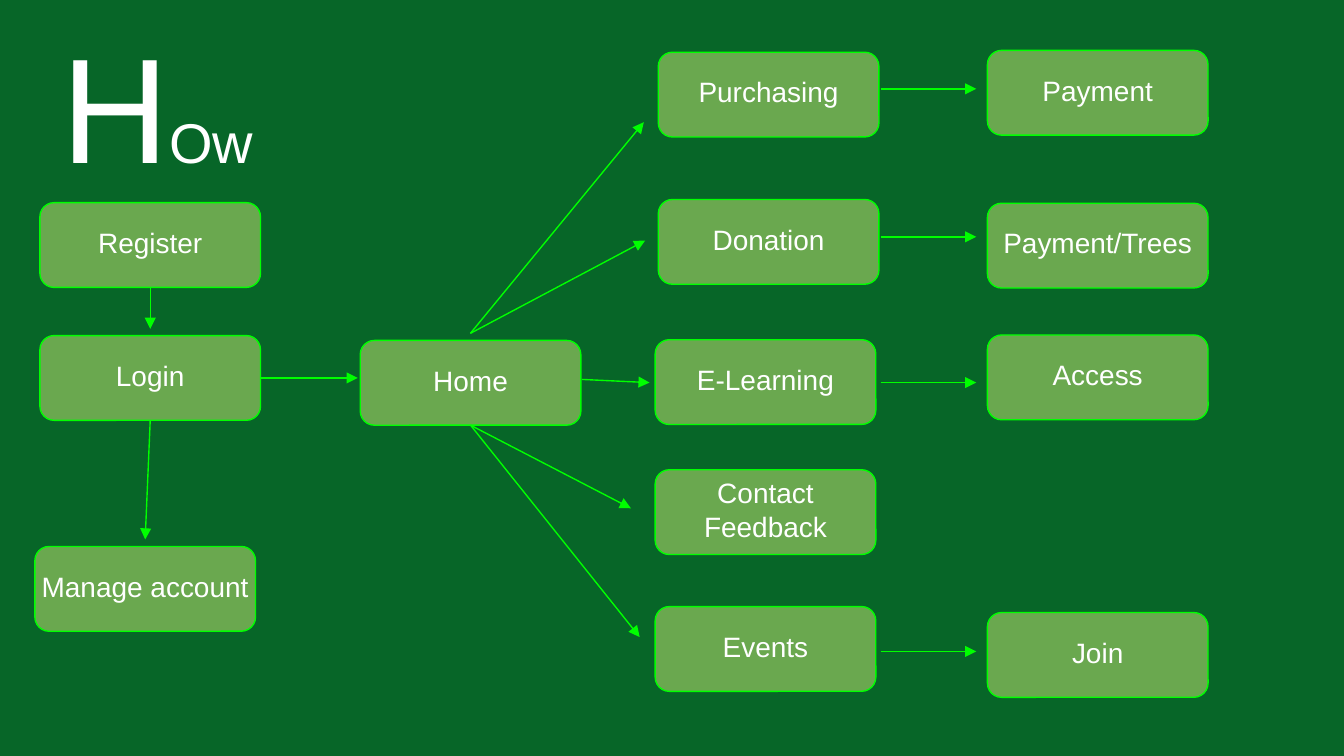
from lxml import etree
from pptx import Presentation
from pptx.dml.color import RGBColor
from pptx.enum.shapes import MSO_CONNECTOR, MSO_SHAPE
from pptx.enum.text import MSO_ANCHOR, PP_ALIGN
from pptx.oxml.ns import qn
from pptx.util import Pt

ROUNDED = MSO_SHAPE.ROUNDED_RECTANGLE
STRAIGHT = MSO_CONNECTOR.STRAIGHT
CENTER = PP_ALIGN.CENTER
TOP, MIDDLE = MSO_ANCHOR.TOP, MSO_ANCHOR.MIDDLE
BOTTOM_SIDE, RIGHT_SIDE = 2, 3

# Content: title runs with sizes, steps with left and top, arrows
TITLE = [("H", 80), ("Ow", 30)]
STEP_WIDTH, STEP_HEIGHT = 118.2, 45.4
STEPS = {
    "Register": (21.4, 108.6),
    "Login": (21.4, 179.8),
    "Manage account": (18.7, 292.8),
    "Home": (193, 182.4),
    "Purchasing": (352.7, 28),
    "Donation": (352.7, 106.9),
    "E-Learning": (351, 182),
    "Contact\nFeedback": (351, 251.7),
    "Events": (351, 325),
    "Payment": (529, 27),
    "Payment/Trees": (529, 108.9),
    "Access": (529, 179.5),
    "Join": (529, 328.2),
}
# Arrows that leave the middle of a step's side: step, side, end point
JOINED_ARROWS = [
    ("Register", BOTTOM_SIDE, (80.5, 176.2)),
    ("Login", BOTTOM_SIDE, (77.8, 289)),
    ("Login", RIGHT_SIDE, (191.7, 202.5)),
    ("Home", BOTTOM_SIDE, (338, 272.3)),
    ("Home", BOTTOM_SIDE, (342.7, 341.3)),
]
# Arrows that stand clear of the steps: start point, end point
HOME_TOP = (252, 178.6)
FREE_ARROWS = [
    (HOME_TOP, (344.9, 65.5)),
    (HOME_TOP, (345.6, 128.9)),
    ((311.8, 203.3), (348, 205)),
]
# Level arrows from the third column to the fourth
FREE_ARROWS += [((471.8, y), (523, y)) for y in (47.6, 126.9, 205, 349)]


def color(value):
    return RGBColor.from_string(value)


def style_font(font, size):
    font.name = "Arial"
    font.size = Pt(size)
    font.color.rgb = color("FFFFFF")


def set_frame(frame, anchor, top, bottom):
    frame.word_wrap = False
    frame.vertical_anchor = anchor
    frame.margin_left = frame.margin_right = 0
    frame.margin_top, frame.margin_bottom = Pt(top), Pt(bottom)


def add_step(slide, label, left, top):
    step = slide.shapes.add_shape(
        ROUNDED, Pt(left), Pt(top), Pt(STEP_WIDTH), Pt(STEP_HEIGHT))
    step.shadow.inherit = False
    step.fill.solid()
    step.fill.fore_color.rgb = color("6AA84F")
    step.line.color.rgb = color("00FF00")
    step.line.width = Pt(0.75)
    set_frame(step.text_frame, MIDDLE, 0, 3)
    step.text_frame.text = label
    for paragraph in step.text_frame.paragraphs:
        paragraph.alignment = CENTER
        style_font(paragraph.font, 15)
    return step


def add_arrow(slide, start, end):
    arrow = slide.shapes.add_connector(
        STRAIGHT, *(Pt(value) for value in start + end))
    arrow.line.color.rgb = color("00FF00")
    arrow.line.width = Pt(0.75)
    line = arrow.line._get_or_add_ln()
    etree.SubElement(line, qn("a:tailEnd"), type="triangle")
    etree.SubElement(arrow._element.spPr, qn("a:effectLst"))
    return arrow


def main():
    presentation = Presentation()
    presentation.slide_width, presentation.slide_height = Pt(720), Pt(405)
    slide = presentation.slides.add_slide(presentation.slide_layouts[6])
    slide.background.fill.solid()
    slide.background.fill.fore_color.rgb = color("076628")

    # Title with a large initial
    title = slide.shapes.add_textbox(Pt(-82.8), Pt(-8), Pt(334), Pt(101))
    set_frame(title.text_frame, TOP, 15.8, 0)
    heading = title.text_frame.paragraphs[0]
    heading.alignment = CENTER
    for text, size in TITLE:
        run = heading.add_run()
        run.text = text
        style_font(run.font, size)

    # Steps
    steps = {label: add_step(slide, label, *place)
             for label, place in STEPS.items()}

    # Arrows
    for label, side, end in JOINED_ARROWS:
        add_arrow(slide, STEPS[label], end).begin_connect(steps[label], side)
    for start, end in FREE_ARROWS:
        add_arrow(slide, start, end)

    presentation.save("out.pptx")


if __name__ == "__main__":
    main()
